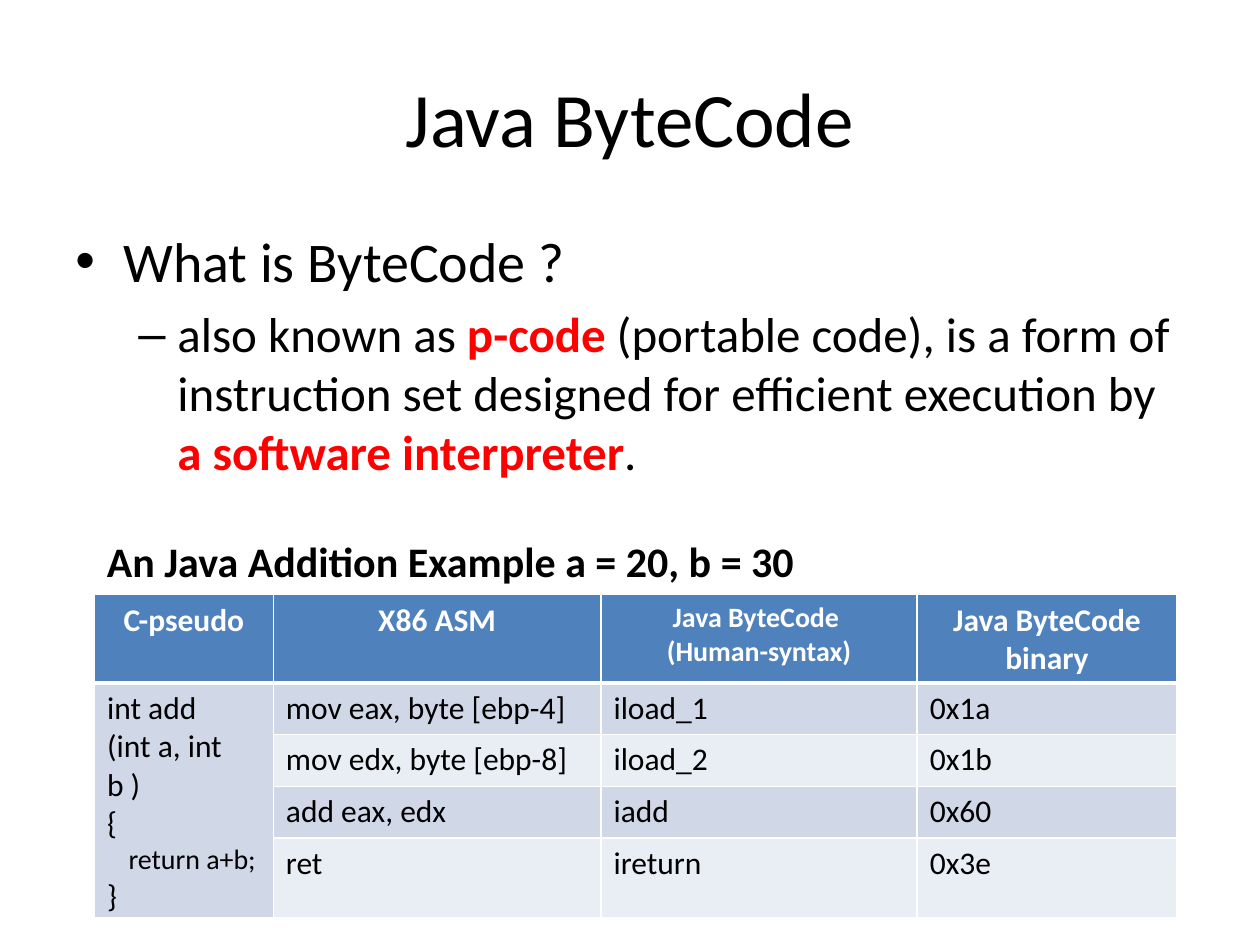
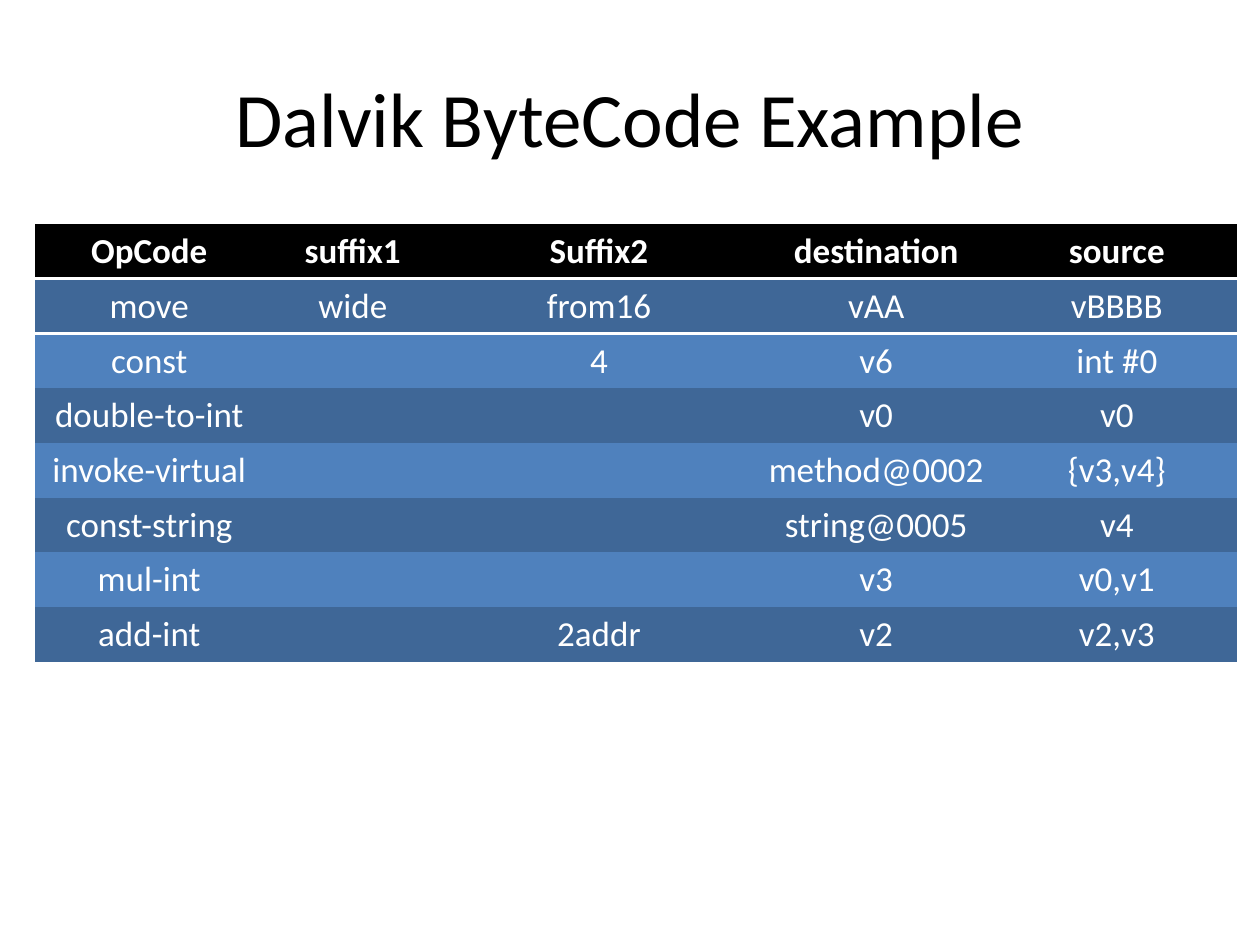
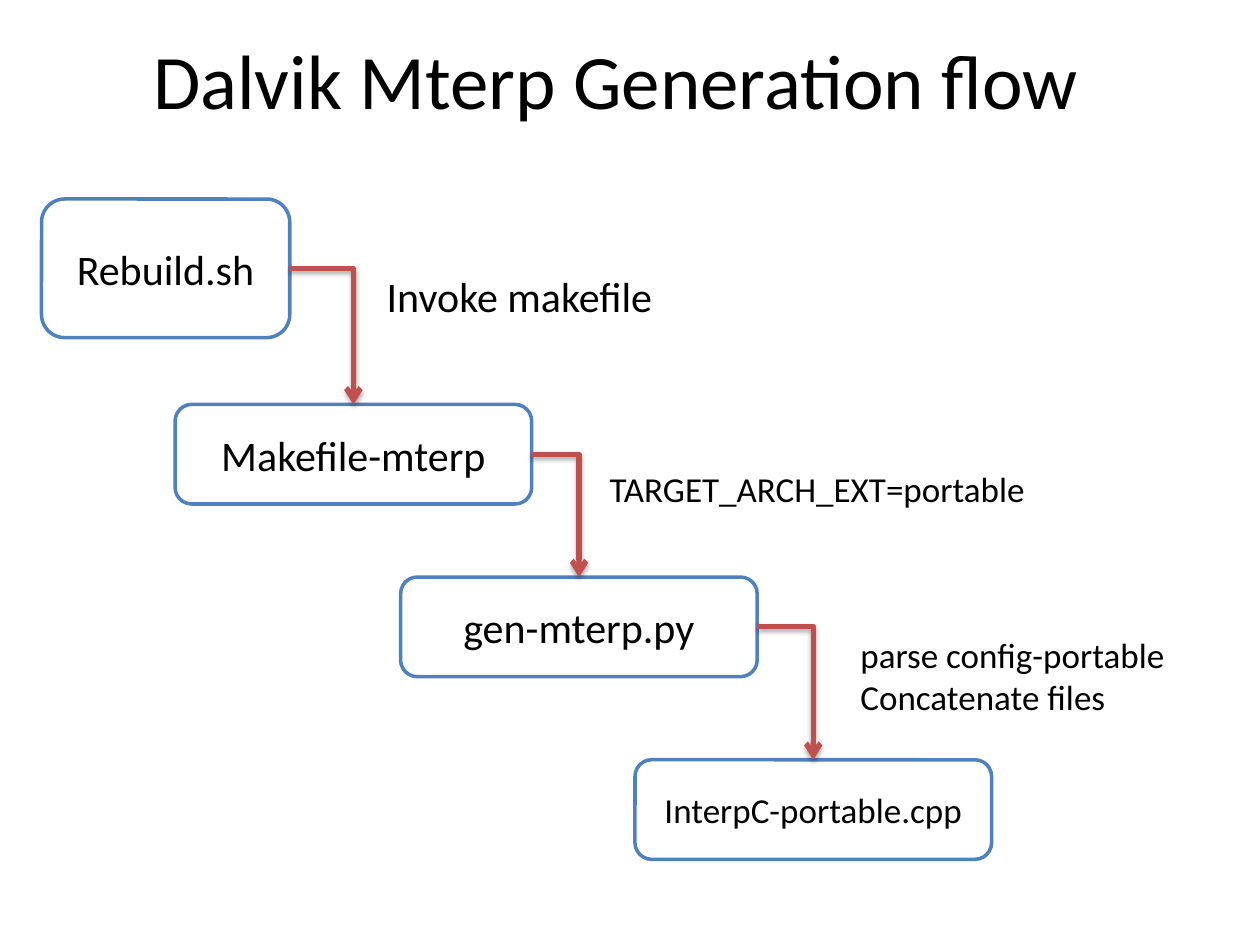
from copy import deepcopy
from dataclasses import dataclass
from typing import Optional

from lxml.etree import SubElement
from pptx import Presentation
from pptx.dml.color import RGBColor
from pptx.enum.shapes import MSO_CONNECTOR, MSO_SHAPE
from pptx.enum.text import MSO_ANCHOR as ANCHOR, MSO_AUTO_SIZE as AUTO_SIZE, PP_ALIGN as ALIGN
from pptx.oxml.ns import qn
from pptx.util import Inches, Pt

FONT = "Calibri"
COLORS = {
    "black": "000000",
    "white": "FFFFFF",
    "blue": "4F81BD",
    "dark_blue": "3F6797",
    "pale_blue": "D0D8E8",
    "paler_blue": "E9EDF4",
    "red": "FF0000",
    "brick": "C0504D",
}
NO_GRID_STYLE = "{2D5ABB26-0587-4C30-8999-92F81FD0307C}"
TOP_SITE, RIGHT_SITE = 0, 3


@dataclass
class Run:
    text: str
    size: float = 18
    color: str = "black"
    bold: bool = False


@dataclass
class Para:
    runs: list[Run]
    align: Optional[ALIGN] = None
    left: float = 0
    hanging: float = 0
    bullet: str = ""


@dataclass
class TableLook:
    header: str
    bands: tuple[str, str]
    body_text: str
    size: float
    body_align: Optional[ALIGN]
    anchor: ANCHOR
    header_line: float
    grid_line: float = 0


@dataclass
class Step:
    name: str
    left: float
    top: float
    width: float = 2.83
    height: float = 0.79
    size: float = 24


@dataclass
class Label:
    lines: list[str]
    left: float
    top: float
    width: float
    height: float
    size: float = 20
    bold: bool = False


def rgb(name: str) -> RGBColor:
    return RGBColor.from_string(COLORS[name])


def add_bullet(p, para: Para) -> None:
    """Give the paragraph its bullet and a 20% space before it."""
    pPr = p._p.get_or_add_pPr()
    before = SubElement(pPr, qn("a:spcBef"))
    SubElement(before, qn("a:spcPct"), val="20000")
    SubElement(pPr, qn("a:buFont"), typeface="Arial")
    SubElement(pPr, qn("a:buChar"), char=para.bullet)


def write(tf, paras: list[Para]) -> None:
    """Fill a text frame; a newline in a run becomes a line break."""
    tf.word_wrap = True
    for i, para in enumerate(paras):
        p = tf.paragraphs[0] if i == 0 else tf.add_paragraph()
        if para.align is not None:
            p.alignment = para.align
        if para.left:
            pPr = p._p.get_or_add_pPr()
            pPr.set("marL", str(Inches(para.left)))
            pPr.set("indent", str(Inches(-para.hanging)))
        if para.bullet:
            add_bullet(p, para)
        for run in para.runs:
            for n, line in enumerate(run.text.split("\n")):
                if n:
                    p.add_line_break()
                r = p.add_run()
                r.text = line
                r.font.name = FONT
                r.font.size = Pt(run.size)
                r.font.bold = run.bold
                r.font.color.rgb = rgb(run.color)
        for br in p._p.findall(qn("a:br")):
            br.append(deepcopy(p.runs[0]._r.rPr))


def add_text(slide, left: float, top: float, width: float, height: float,
             paras: list[Para], anchor: ANCHOR = ANCHOR.TOP):
    sp = slide.shapes.add_textbox(Inches(left), Inches(top), Inches(width), Inches(height))
    sp.text_frame.vertical_anchor = anchor
    write(sp.text_frame, paras)
    return sp


def add_titled_slide(prs, title: str, left: float = 0.5, top: float = 0.3):
    slide = prs.slides.add_slide(prs.slide_layouts[6])
    add_text(slide, left, top, 9, 1.25, [Para([Run(title, 44)], ALIGN.CENTER)], ANCHOR.MIDDLE)
    return slide


def add_label(slide, label: Label) -> None:
    paras = [Para([Run(line, label.size, bold=label.bold)]) for line in label.lines]
    sp = add_text(slide, label.left, label.top, label.width, label.height, paras)
    sp.text_frame.auto_size = AUTO_SIZE.SHAPE_TO_FIT_TEXT


def add_border(cell, side: str, width: float) -> None:
    tcPr = cell._tc.get_or_add_tcPr()
    ln = SubElement(tcPr, qn(f"a:ln{side}"), w=str(Pt(width)))
    fill = SubElement(ln, qn("a:solidFill"))
    SubElement(fill, qn("a:srgbClr"), val=COLORS["white"])


def style_cell(cell, row: int, look: TableLook) -> None:
    """Draw borders first: the schema wants them ahead of the fill."""
    widths = {
        "L": look.grid_line,
        "R": look.grid_line,
        "T": look.header_line if row == 1 else look.grid_line,
        "B": look.header_line if row == 0 else look.grid_line,
    }
    for side, width in widths.items():
        if width:
            add_border(cell, side, width)
    cell.fill.solid()
    cell.fill.fore_color.rgb = rgb(look.header if row == 0 else look.bands[(row - 1) % 2])
    cell.vertical_anchor = look.anchor


def add_grid(slide, left: float, top: float, widths: list[float], row_height: float,
             rows: list[list], look: TableLook):
    """Add a table; a cell is plain text or a list of paragraphs."""
    frame = slide.shapes.add_table(len(rows), len(widths), Inches(left), Inches(top),
                                   Inches(sum(widths)), Inches(row_height * len(rows)))
    table = frame.table
    table.first_row = table.horz_banding = False
    table._tbl.tblPr.find(qn("a:tableStyleId")).text = NO_GRID_STYLE
    for column, width in zip(table.columns, widths):
        column.width = Inches(width)
    for i, row in enumerate(rows):
        table.rows[i].height = Inches(row_height)
        for j, content in enumerate(row):
            cell = table.cell(i, j)
            style_cell(cell, i, look)
            if isinstance(content, str) and content:
                color, align = ("white", ALIGN.CENTER) if i == 0 else (look.body_text, look.body_align)
                content = [Para([Run(content, look.size, color, bold=i == 0)], align)]
            if content:
                write(cell.text_frame, content)
    return table


def add_step(slide, step: Step):
    sp = slide.shapes.add_shape(MSO_SHAPE.ROUNDED_RECTANGLE, Inches(step.left), Inches(step.top),
                                Inches(step.width), Inches(step.height))
    sp.shadow.inherit = False
    sp.fill.solid()
    sp.fill.fore_color.rgb = rgb("white")
    sp.line.color.rgb = rgb("blue")
    sp.line.width = Pt(2)
    sp.text_frame.vertical_anchor = ANCHOR.MIDDLE
    write(sp.text_frame, [Para([Run(step.name, step.size)], ALIGN.CENTER)])
    return sp


def add_step_arrow(slide, source, target) -> None:
    """Lead from the right side of one step down to the top of the next."""
    cxn = slide.shapes.add_connector(MSO_CONNECTOR.ELBOW, 0, 0, 0, 0)
    cxn.begin_connect(source, RIGHT_SITE)
    cxn.end_connect(target, TOP_SITE)
    cxn.line.color.rgb = rgb("brick")
    cxn.line.width = Pt(3)
    spPr = cxn._element.spPr
    spPr.find(qn("a:prstGeom")).set("prst", "bentConnector2")
    SubElement(spPr.find(qn("a:ln")), qn("a:tailEnd"), type="arrow")
    effects = SubElement(spPr, qn("a:effectLst"))
    shadow = SubElement(effects, qn("a:outerShdw"), blurRad=str(Pt(3.1)), dist=str(Pt(1.8)),
                        dir="5400000", rotWithShape="0")
    color = SubElement(shadow, qn("a:srgbClr"), val=COLORS["black"])
    SubElement(color, qn("a:alpha"), val="35000")


def build_java_bytecode(prs) -> None:
    slide = add_titled_slide(prs, "Java ByteCode")
    add_text(slide, 0.5, 1.75, 9, 4.95, [
        Para([Run("What is ByteCode ?", 32)], left=0.38, hanging=0.38, bullet="•"),
        Para([
            Run("also known as ", 28),
            Run("p-code", 28, "red", True),
            Run(" (portable code), is a form of instruction set designed for "
                "efficient execution by ", 28),
            Run("a software interpreter", 28, "red", True),
            Run(".", 28),
        ], left=0.81, hanging=0.31, bullet="–"),
    ])
    human_syntax = [Para([Run("Java ByteCode \n(Human-syntax)", 16, "white", True)], ALIGN.CENTER)]
    add_function = [
        Para([Run("int add\n(int a, int b )")]),
        Para([Run("{")]),
        Para([Run("return a+b;", 16)], left=0.17),
        Para([Run("}")]),
    ]
    look = TableLook("blue", ("pale_blue", "paler_blue"), "black", 18, None, ANCHOR.TOP,
                     header_line=3, grid_line=1)
    table = add_grid(slide, 0.75, 4.72, [1.42, 2.6, 2.51, 2.06], 0.41, [
        ["C-pseudo", "X86 ASM", human_syntax, "Java ByteCode binary"],
        [add_function, "mov eax, byte [ebp-4]", "iload_1", "0x1a"],
        ["", "mov edx, byte [ebp-8]", "iload_2", "0x1b"],
        ["", "add eax, edx", "iadd", "0x60"],
        ["", "ret", "ireturn", "0x3e"],
    ], look)
    table.cell(1, 0).merge(table.cell(4, 0))
    add_label(slide, Label(["An Java Addition Example a = 20, b = 30"],
                           0.75, 4.2, 8.58, 0.5, 24, True))


def build_dalvik_example(prs) -> None:
    slide = add_titled_slide(prs, "Dalvik ByteCode Example")
    look = TableLook("black", ("dark_blue", "blue"), "white", 20, ALIGN.CENTER, ANCHOR.MIDDLE,
                     header_line=2)
    add_grid(slide, 0.28, 1.78, [1.81, 1.42, 2.49, 1.91, 1.91], 0.32, [
        ["OpCode", "suffix1", "Suffix2", "destination", "source"],
        ["move", "wide", "from16", "vAA", "vBBBB"],
        ["const", "", "4", "v6", "int #0"],
        ["double-to-int", "", "", "v0", "v0"],
        ["invoke-virtual", "", "", "method@0002", "{v3,v4}"],
        ["const-string", "", "", "string@0005", "v4"],
        ["mul-int", "", "", "v3", "v0,v1"],
        ["add-int", "", "2addr", "v2", "v2,v3"],
    ], look)


def build_generation_flow(prs) -> None:
    slide = add_titled_slide(prs, "Dalvik Mterp Generation flow", 0.39, 0)
    steps = [add_step(slide, step) for step in (
        Step("Rebuild.sh", 0.33, 1.58, 1.97, 1.1),
        Step("Makefile-mterp", 1.39, 3.21),
        Step("gen-mterp.py", 3.18, 4.58),
        Step("InterpC-portable.cpp", 5.04, 6.03, size=20),
    )]
    labels = (
        Label(["Invoke makefile"], 2.97, 2.1, 2.52, 0.5, 24),
        Label(["TARGET_ARCH_EXT=portable"], 4.74, 3.66, 3.7, 0.44),
        Label(["parse config-portable", "Concatenate files"], 6.73, 4.98, 2.91, 0.77),
    )
    for source, target, label in zip(steps, steps[1:], labels):
        add_step_arrow(slide, source, target)
        add_label(slide, label)


def main() -> None:
    prs = Presentation()
    prs.slide_width, prs.slide_height = Inches(10), Inches(7.5)
    build_java_bytecode(prs)
    build_dalvik_example(prs)
    build_generation_flow(prs)
    prs.save("out.pptx")


if __name__ == "__main__":
    main()
